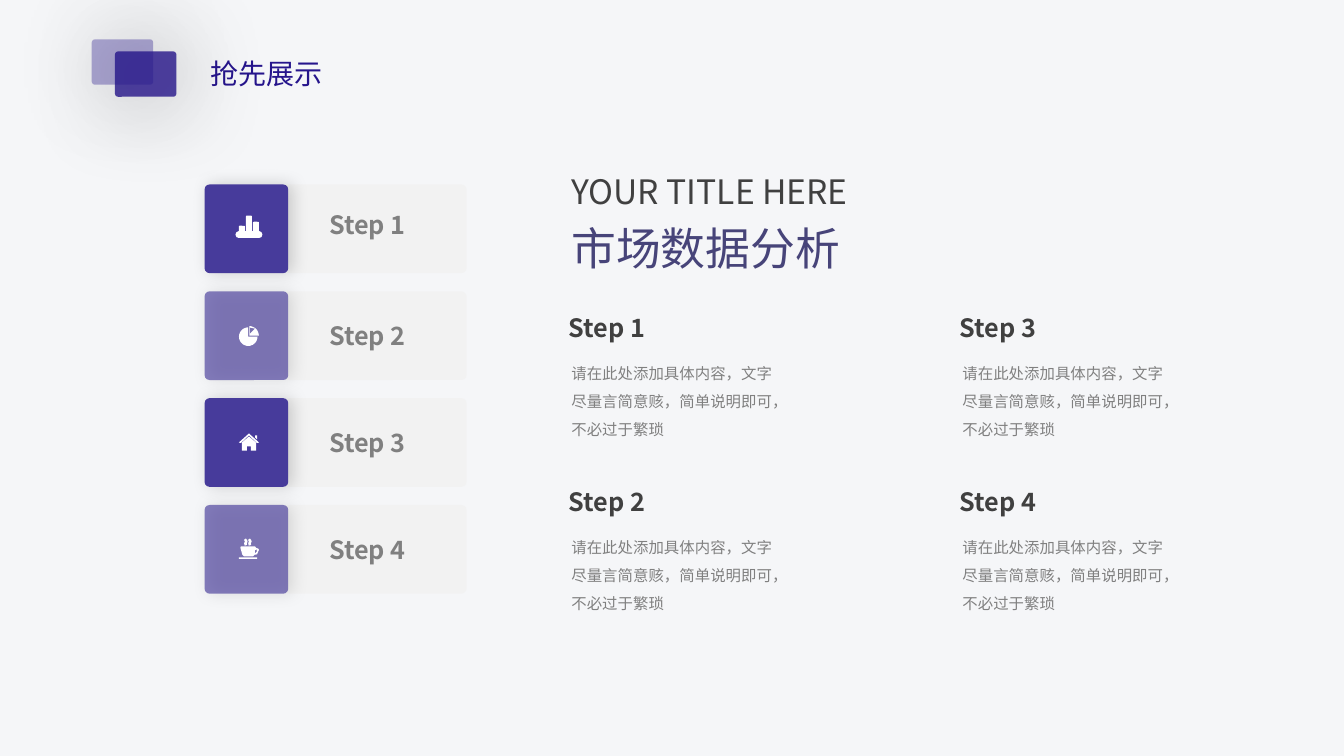
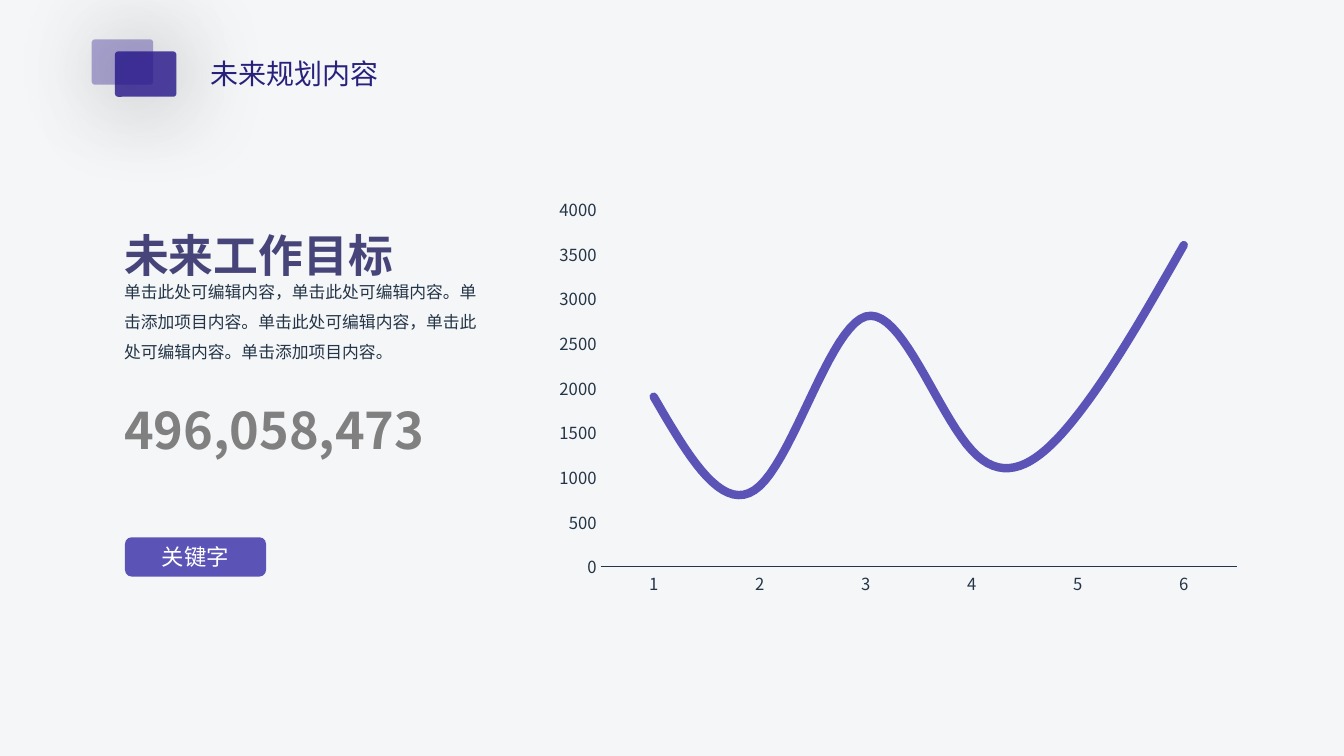
from math import cos, radians, sin

from lxml.etree import SubElement
from pptx import Presentation
from pptx.chart.data import CategoryChartData
from pptx.dml.color import RGBColor
from pptx.enum.chart import XL_CHART_TYPE as Chart, XL_TICK_MARK as Tick
from pptx.enum.shapes import MSO_CONNECTOR as Connector, MSO_SHAPE as Preset
from pptx.enum.text import MSO_ANCHOR as Anchor, MSO_AUTO_SIZE as AutoSize, PP_ALIGN as Align
from pptx.oxml.ns import qn
from pptx.util import Emu, Inches, Pt

COLUMNS, ROWS = 133.33, 75
CELL = Inches(0.1)
FONT = "Noto Sans CJK SC"
WHITE, BACKGROUND, CARD = "FFFFFF", "F5F6F8", "F2F2F2"
INDIGO, TILE, ACCENT, HEADLINE = "26158C", "473B9B", "5B54B6", "474479"
DARK, GRAY, NAVY = "404040", "808080", "243547"
HEADER_SHADOW = dict(alpha=40, blur=70, distance=3, angle=45)
TILE_SHADOW = dict(alpha=17, blur=12, distance=3, angle=0)
STEP_TOP, STEP_PITCH, STEP_HEIGHT = 18.3, 10.6, 8.8
ICON_LEFT = 23.7
DESCRIPTION = "请在此处添加具体内容，文字尽量言简意赅，简单说明即可，不必过于繁琐"
GOAL = "单击此处可编辑内容，单击此处可编辑内容。单击添加项目内容。" * 2


def cells(count):
    return Emu(round(count * CELL))


def frame(left, top, width, height):
    return [cells(value) for value in (left, top, width, height)]


def color(value):
    return RGBColor.from_string(value)


def paint(shape, fill, alpha=100):
    shape.shadow.inherit = False
    shape.fill.solid()
    shape.fill.fore_color.rgb = color(fill)
    shape.line.fill.background()
    if alpha < 100:
        tint = shape.element.spPr.find(qn("a:solidFill"))[0]
        SubElement(tint, qn("a:alpha"), val=str(alpha * 1000))


def cast_shadow(shape, alpha, blur, distance, angle):
    effects = shape.element.spPr.find(qn("a:effectLst"))
    outer = SubElement(effects, qn("a:outerShdw"), blurRad=str(Pt(blur)),
                       dist=str(Pt(distance)), dir=str(angle * 60000), rotWithShape="0")
    black = SubElement(outer, qn("a:srgbClr"), val="000000")
    SubElement(black, qn("a:alpha"), val=str(alpha * 1000))


def add_card(page, area, fill, alpha=100, rounding=0.06, shadow=None):
    card = page.shapes.add_shape(Preset.ROUNDED_RECTANGLE, *frame(*area))
    card.adjustments[0] = rounding
    paint(card, fill, alpha)
    if shadow:
        cast_shadow(card, **shadow)
    return card


def write(shape, text, size, ink, bold=False, align=Align.LEFT, anchor=Anchor.MIDDLE,
          wrap=True, leading=None, side=1):
    box = shape.text_frame
    box.auto_size = AutoSize.NONE
    box.word_wrap = wrap
    box.vertical_anchor = anchor
    box.margin_left = box.margin_right = cells(side)
    box.margin_top = box.margin_bottom = 0 if anchor == Anchor.BOTTOM else cells(0.5)
    para = box.paragraphs[0]
    para.alignment = align
    if leading:
        para.line_spacing = Pt(leading)
    span = para.add_run()
    span.text = text
    span.font.name = FONT
    span.font.size = Pt(size)
    span.font.bold = bold
    span.font.color.rgb = color(ink)
    SubElement(span.font._element, qn("a:ea"), typeface=FONT)


def add_text(page, area, text, **style):
    write(page.shapes.add_textbox(*frame(*area)), text, **style)


def add_page(deck, title, ink):
    page = deck.slides.add_slide(deck.slide_layouts[5])
    heading = page.shapes.title
    heading.left, heading.top, heading.width, heading.height = frame(19.9, 5.1, 31.5, 4.4)
    write(heading, title, size=20, ink=ink, align=Align.JUSTIFY)
    for left, top, alpha in ((11.4, 5.1, 80), (9.1, 3.9, 35)):
        add_card(page, (left, top, 6.1, 4.5), INDIGO, alpha, 0.07, HEADER_SHADOW)
    return page


def add_outline(page, top, *contours, stroke=None):
    builder = None
    for contour in contours:
        points = [(round(x * 10), round(y * 10)) for x, y in contour]
        if builder is None:
            builder = page.shapes.build_freeform(*points[0], scale=Inches(0.001))
        else:
            builder.move_to(*points[0])
        builder.add_line_segments(points[1:], close=stroke is None)
    outline = builder.convert_to_shape(cells(ICON_LEFT), cells(top))
    paint(outline, WHITE)
    if stroke:
        outline.line.color.rgb = color(WHITE)
        outline.line.width = Pt(stroke)


def add_icon_bar(page, top, left, offset, width, height):
    area = (ICON_LEFT + left / 10, top + offset / 10, width / 10, height / 10)
    add_card(page, area, WHITE, rounding=0.15)


def sector(x, y, radius, start, end):
    angles = [radians(angle) for angle in range(start, end + 1, 10)]
    return [(x, y)] + [(x + radius * cos(a), y + radius * sin(a)) for a in angles]


def add_bars_icon(page, top):
    for left, offset, height in ((0, 41, 7), (7, 31, 17), (14, 37, 11)):
        add_icon_bar(page, top, left, offset, 6, height)
    level = cells(top + 5)
    base = page.shapes.add_connector(Connector.STRAIGHT, cells(ICON_LEFT), level,
                                     cells(ICON_LEFT + 2), level)
    base.line.color.rgb = color(WHITE)
    base.line.width = Pt(4.88)
    base.line._ln.set("cap", "rnd")
    SubElement(base._element.spPr, qn("a:effectLst"))


def add_pie_icon(page, top):
    add_outline(page, top, sector(9.3, 45, 9.2, 0, 270))
    add_outline(page, top, sector(10.3, 44, 9.5, 270, 360), [(11, 42), (11, 36), (16, 37)])


def add_house_icon(page, top):
    add_outline(page, top, [(3, 52), (8, 52), (8, 48), (12, 48), (12, 52), (17, 52),
                            (17, 44), (10, 38), (3, 44)])
    add_outline(page, top, [(0, 44), (2, 44.5), (10, 37), (18, 44.5), (20, 44), (10, 35)])
    add_outline(page, top, [(18, 37), (16, 37), (16, 39), (18, 41)])


def add_cup_icon(page, top):
    add_icon_bar(page, top, 0, 52, 18, 1.5)
    add_outline(page, top,
                [(2, 41), (16, 41), (17, 42.5), (19.5, 43.5), (20, 44.5), (18, 49),
                 (15.5, 49.5), (14, 51), (5, 51), (3.5, 49.5), (1.5, 42.5)],
                [(16, 45), (17.5, 44), (18, 46), (16, 48)])
    for left in (6, 10):
        add_outline(page, top, [(left + 1, 40), (left + 0.5, 38), (left + 1.5, 36), (left, 34)],
                    stroke=1.75)


def build_steps(deck):
    page = add_page(deck, "抢先展示", INDIGO)
    steps = ((add_bars_icon, 100, 2), (add_pie_icon, 65, 2.4),
             (add_house_icon, 100, 2.4), (add_cup_icon, 65, 2.4))
    for index, (add_icon, alpha, label_offset) in enumerate(steps):
        name = f"Step {index + 1}"
        top = STEP_TOP + index * STEP_PITCH
        add_card(page, (28.2, top, 18.1, STEP_HEIGHT), CARD)
        add_card(page, (20.3, top, 8.3, STEP_HEIGHT), TILE, alpha, shadow=TILE_SHADOW)
        add_icon(page, top)
        add_text(page, (29.2, top + label_offset, 14.5, 4), name, size=18, ink=GRAY,
                 bold=True, align=Align.CENTER)
        column, line = divmod(index, 2)
        left, top = 55.4 + column * 38.8, 30.5 + line * 17.25
        add_text(page, (left, top, 22.2, 4), name, size=18, ink=DARK, bold=True)
        add_text(page, (left + 0.3, top + 4.2, 22, 8.9), DESCRIPTION, size=11, ink=GRAY,
                 anchor=Anchor.TOP, leading=20)
    add_text(page, (55.7, 21.4, 28.7, 6.4), "市场数据分析", size=32, ink=HEADLINE, wrap=False)
    add_text(page, (55.7, 16.6, 34.8, 4.7), "YOUR TITLE HERE", size=24, ink=DARK)


def format_axis(axis):
    axis.has_major_gridlines = False
    axis.major_tick_mark = axis.minor_tick_mark = Tick.NONE
    font = axis.tick_labels.font
    font.name, font.size = FONT, Pt(11.9)
    font.color.rgb = color(NAVY)


def add_line_chart(page, area):
    data = CategoryChartData()
    data.categories = ["1", "2", "3", "4", "5", "6"]
    data.add_series("Series 1", (1900, 900, 2800, 1300, 1700, 3600))
    chart = page.shapes.add_chart(Chart.LINE, *frame(*area), data).chart
    chart.has_legend = chart.has_title = False
    chart.font.name, chart.font.size = "Roboto Condensed", Pt(10)
    chart.font.color.rgb = color("000000")
    chart.plots[0].vary_by_categories = False
    for axis in (chart.category_axis, chart.value_axis):
        format_axis(axis)
    chart.category_axis.format.line.color.rgb = color(NAVY)
    chart.category_axis.format.line.width = Pt(1)
    values = chart.value_axis
    values.format.line.fill.background()
    values.minimum_scale, values.maximum_scale, values.major_unit = 0, 4000, 500
    series = chart.plots[0].series[0]
    series.smooth = True
    series.format.line.color.rgb = color(ACCENT)
    series.format.line.width = Pt(6)
    series.format.line._ln.set("cap", "rnd")


def build_goals(deck):
    page = add_page(deck, "未来规划内容", "29227D")
    add_line_chart(page, (54.1, 18.7, 70, 41.2))
    add_text(page, (11.4, 26.5, 37.1, 10), GOAL, size=12, ink=NAVY, anchor=Anchor.TOP,
             leading=21.4, side=0.9)
    add_text(page, (11.4, 19.8, 31.1, 8.1), "未来工作目标", size=32, ink=HEADLINE, bold=True,
             anchor=Anchor.BOTTOM, side=0.9)
    add_text(page, (11.4, 39.1, 32.8, 7), "496,058,473", size=36, ink=GRAY, bold=True,
             wrap=False, side=0.9)
    button = add_card(page, (12.4, 53.3, 14, 3.9), ACCENT, rounding=0.17)
    write(button, "关键字", size=16, ink=WHITE, align=Align.CENTER)


def main():
    deck = Presentation()
    deck.slide_width, deck.slide_height = cells(COLUMNS), cells(ROWS)
    backdrop = deck.slide_master.background.fill
    backdrop.solid()
    backdrop.fore_color.rgb = color(BACKGROUND)
    build_steps(deck)
    build_goals(deck)
    deck.save("out.pptx")


if __name__ == "__main__":
    main()
